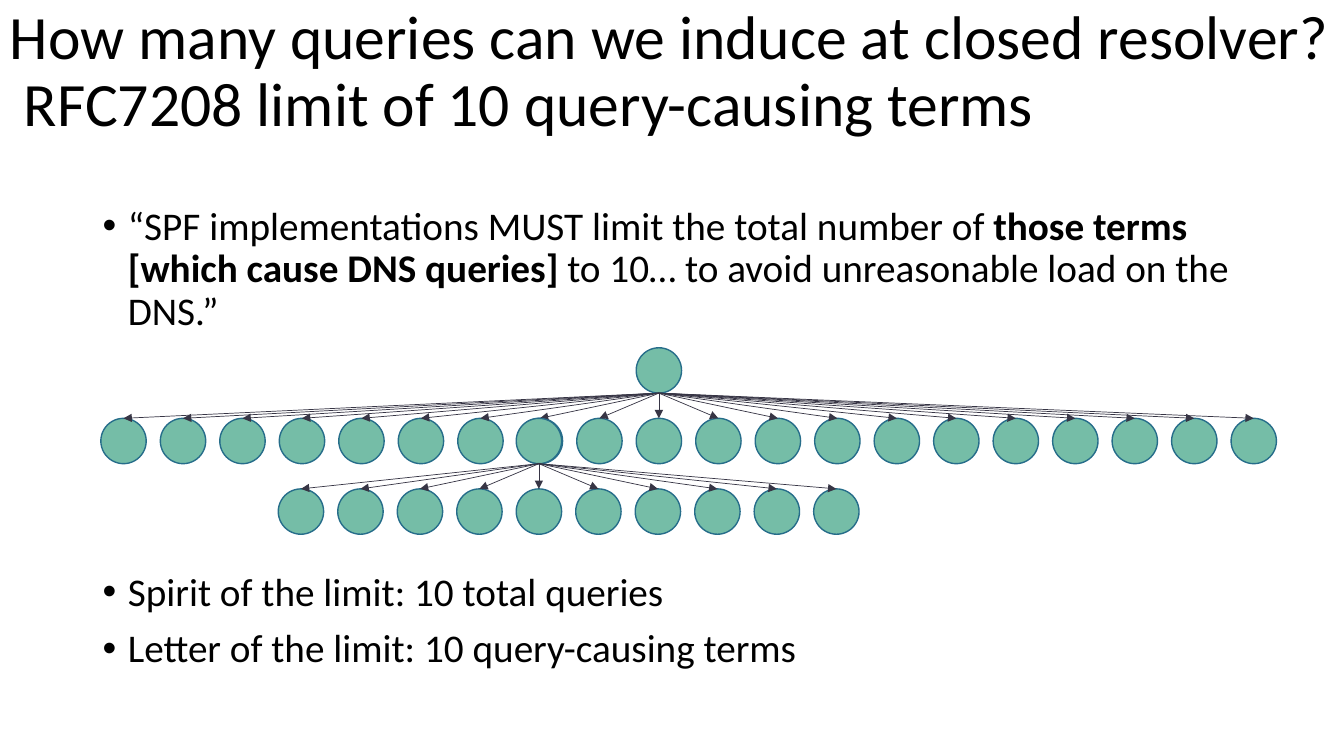
from lxml.etree import SubElement
from pptx import Presentation
from pptx.dml.color import RGBColor
from pptx.enum.shapes import MSO_CONNECTOR, MSO_SHAPE
from pptx.enum.text import MSO_ANCHOR
from pptx.oxml.ns import qn
from pptx.util import Inches, Pt

COLORS = {
    "text": "000000",
    "node": "75BDA7",
    "node_edge": "266D8A",
    "arrow": "373545",
}
FONT = "Calibri"
NODE_SIZE = 0.45
NODE_STEP = 0.59
LEVEL_STEP = 0.7


def color(name):
    return RGBColor.from_string(COLORS[name])


def add_text_frame(slide, left, top, width, height):
    frame = slide.shapes.add_textbox(
        Inches(left), Inches(top), Inches(width), Inches(height)
    ).text_frame
    frame.word_wrap = True
    return frame


def format_runs(paragraph, size):
    paragraph.line_spacing = 0.9
    for run in paragraph.runs:
        run.font.name = FONT
        run.font.size = Pt(size)
        run.font.color.rgb = color("text")


def add_title(slide, text):
    frame = add_text_frame(slide, 0, 0, 13.33, 1.45)
    frame.vertical_anchor = MSO_ANCHOR.MIDDLE
    frame.text = text
    format_runs(frame.paragraphs[0], 44)


def add_bullets(slide, top, height, bullets):
    frame = add_text_frame(slide, 0.92, top, 11.5, height)
    for index, pieces in enumerate(bullets):
        bullet = frame.add_paragraph() if index else frame.paragraphs[0]
        properties = bullet._p.get_or_add_pPr()
        properties.set("marL", str(Inches(0.25)))
        properties.set("indent", str(Inches(-0.25)))
        SubElement(properties, qn("a:buFont"), typeface="Arial")
        SubElement(properties, qn("a:buChar"), char="•")
        if index:
            bullet.space_before = Pt(10)
        for text, bold in pieces:
            run = bullet.add_run()
            run.text = text
            run.font.bold = bold
        format_runs(bullet, 28)


def add_node(slide, left, top):
    node = slide.shapes.add_shape(
        MSO_SHAPE.OVAL, Inches(left), Inches(top),
        Inches(NODE_SIZE), Inches(NODE_SIZE),
    )
    node.shadow.inherit = False
    node.fill.solid()
    node.fill.fore_color.rgb = color("node")
    node.line.color.rgb = color("node_edge")
    node.line.width = Pt(1)
    return node


def add_arrow(slide, parent, child):
    arrow = slide.shapes.add_connector(
        MSO_CONNECTOR.STRAIGHT,
        parent.left + parent.width // 2, parent.top + parent.height,
        child.left + child.width // 2, child.top,
    )
    arrow.end_connect(child, 0)
    arrow.line.color.rgb = color("arrow")
    arrow.line.width = Pt(0.5)
    SubElement(arrow.line._get_or_add_ln(), qn("a:tailEnd"), type="triangle")
    SubElement(arrow._element.spPr, qn("a:effectLst"))


def add_query_tree(slide, root_left, root_top, first_child_left, child_count):
    root = add_node(slide, root_left, root_top)
    for index in range(child_count):
        child = add_node(
            slide, first_child_left + index * NODE_STEP, root_top + LEVEL_STEP
        )
        add_arrow(slide, root, child)


def main():
    presentation = Presentation()
    presentation.slide_width = Inches(13.33)
    presentation.slide_height = Inches(7.5)
    slide = presentation.slides.add_slide(presentation.slide_layouts[6])

    add_title(
        slide,
        "How many queries can we induce at closed resolver?\v"
        " RFC7208 limit of 10 query-causing terms",
    )
    add_bullets(slide, 2, 1.4, [[
        ("“SPF implementations MUST limit the total number of ", False),
        ("those terms [which cause DNS queries] ", True),
        ("to 10… to avoid unreasonable load on the DNS.”", False),
    ]])
    add_bullets(slide, 5.63, 1.13, [
        [("Spirit of the limit: 10 total queries", False)],
        [("Letter of the limit: 10 query-causing terms", False)],
    ])
    add_query_tree(slide, 6.31, 3.45, 1, 20)
    add_query_tree(slide, 5.12, 4.15, 2.76, 10)

    presentation.save("out.pptx")


if __name__ == "__main__":
    main()
